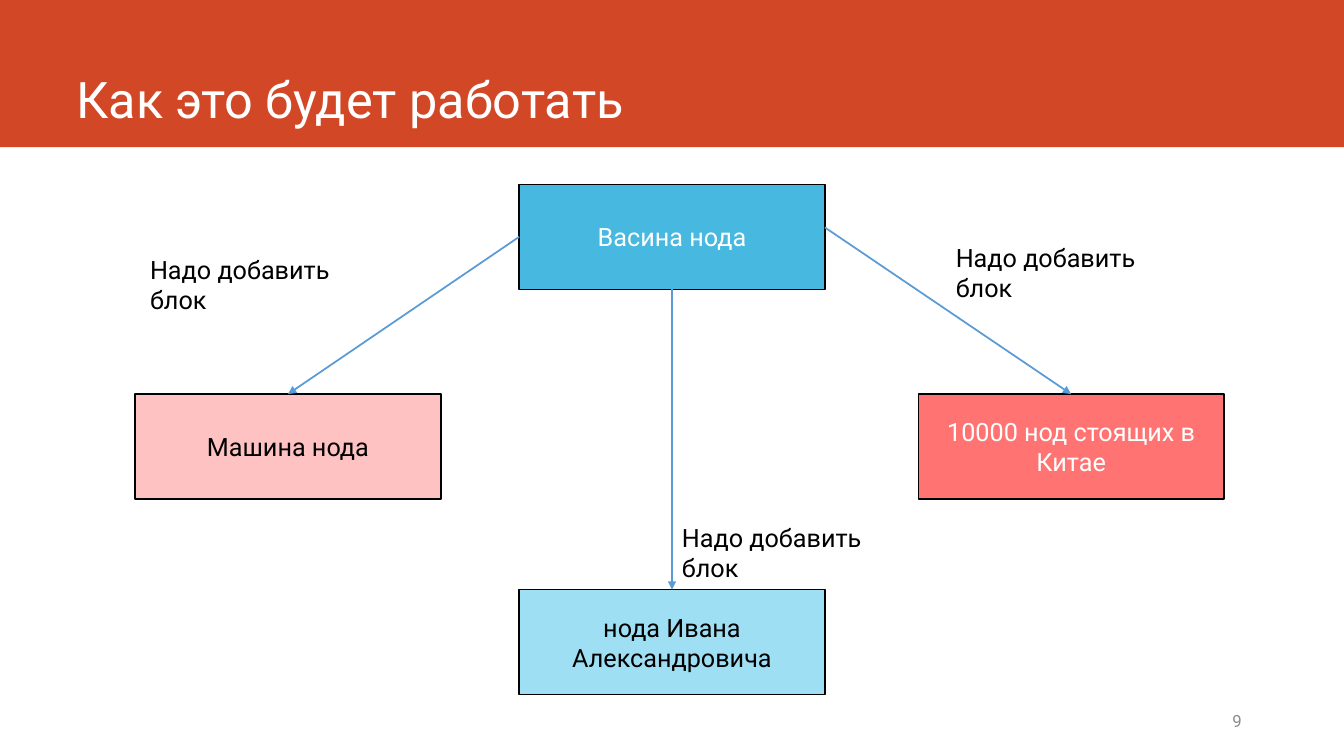
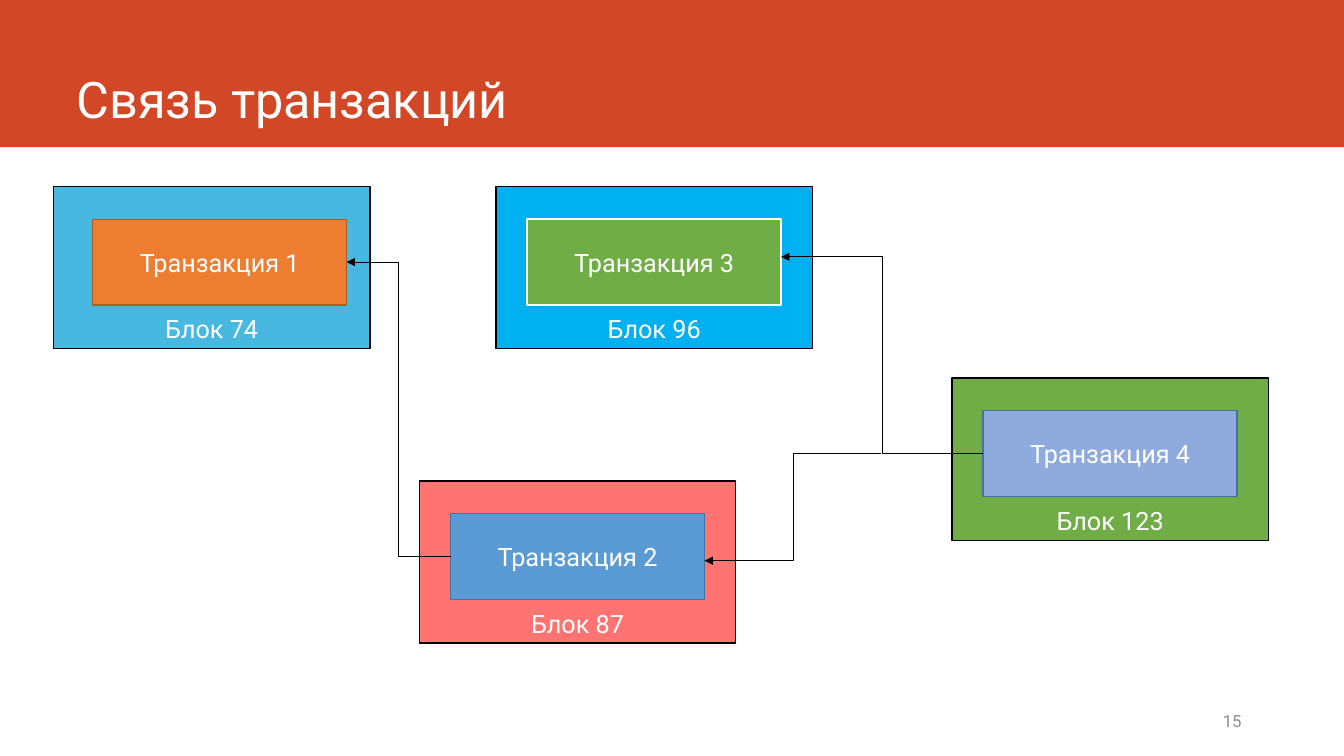
"""Build two slides on how nodes and transactions of a blockchain are linked."""
import dataclasses

import lxml.etree
import pptx
import pptx.dml.color
import pptx.enum.shapes
import pptx.enum.text
import pptx.oxml.ns
import pptx.util

ALIGN = pptx.enum.text.PP_ALIGN
ANCHOR = pptx.enum.text.MSO_ANCHOR
CONNECTOR = pptx.enum.shapes.MSO_CONNECTOR


@dataclasses.dataclass(frozen=True)
class Theme:
    font: str = "Roboto"
    title_size: int = 36
    body_size: int = 18
    number_size: int = 12
    band: str = "D24726"
    white: str = "FFFFFF"
    black: str = "000000"
    grey: str = "8C8C8C"
    sky: str = "47B8E0"
    pale_sky: str = "9FDFF4"
    azure: str = "00B0F0"
    coral: str = "FF7473"
    pink: str = "FFC2C2"
    orange: str = "ED7D31"
    dark_orange: str = "AF5C24"
    blue: str = "5B9BD5"
    dark_blue: str = "43739E"
    lavender: str = "8FAADC"
    green: str = "70AD47"


class Deck:
    columns, rows = 40, 30
    node_size = 9.1, 4.16
    block_size = 9.42, 6.44
    transaction_size = 7.56, 3.4

    def __init__(self, theme):
        self.theme = theme
        self.prs = pptx.Presentation()
        self.prs.slide_width = pptx.util.Inches(13.33)
        self.prs.slide_height = pptx.util.Inches(7.5)
        self.s = None

    def x(self, column):
        return round(self.prs.slide_width * column / self.columns)

    def y(self, row):
        return round(self.prs.slide_height * row / self.rows)

    def frame(self, left, top, width, height):
        return self.x(left), self.y(top), self.x(width), self.y(height)

    def color(self, value):
        return pptx.dml.color.RGBColor.from_string(value)

    def fill_text(self, sp, text, color, size, align=ALIGN.LEFT, anchor=ANCHOR.TOP):
        tf = sp.text_frame
        tf.word_wrap = True
        tf.vertical_anchor = anchor
        tf.text = text
        p = tf.paragraphs[0]
        p.alignment = align
        font = p.runs[0].font
        font.name = self.theme.font
        font.size = pptx.util.Pt(size)
        font.color.rgb = self.color(color)

    def text(self, box, text, color, size, align=ALIGN.LEFT, anchor=ANCHOR.TOP):
        sp = self.s.shapes.add_textbox(*self.frame(*box))
        self.fill_text(sp, text, color, size, align, anchor)

    def rect(self, box, fill, line=None, weight=1):
        kind = pptx.enum.shapes.MSO_SHAPE.RECTANGLE
        sp = self.s.shapes.add_shape(kind, *self.frame(*box))
        sp.shadow.inherit = False
        sp.fill.solid()
        sp.fill.fore_color.rgb = self.color(fill)
        if line:
            sp.line.color.rgb = self.color(line)
            sp.line.width = pptx.util.Pt(weight)
        else:
            sp.line.fill.background()
        return sp

    def slide(self, title, number):
        t = self.theme
        self.s = self.prs.slides.add_slide(self.prs.slide_layouts[6])
        self.rect((0, 0, self.columns, 5.84), t.band)
        self.text((1.98, 0, 35.28, 5.28), title, t.white, t.title_size, anchor=ANCHOR.BOTTOM)
        self.text((26.5, 27.8, 10.75, 1.6), str(number), t.grey, t.number_size,
                  ALIGN.RIGHT, ANCHOR.MIDDLE)

    def box(self, left, top, size, text, fill, color, line, weight=1, anchor=ANCHOR.MIDDLE):
        sp = self.rect((left, top, *size), fill, line, weight)
        self.fill_text(sp, text, color, self.theme.body_size, ALIGN.CENTER, anchor)
        return sp

    def node(self, left, top, text, fill, color):
        return self.box(left, top, self.node_size, text, fill, color, self.theme.black)

    def block(self, left, top, text, fill):
        t = self.theme
        self.box(left, top, self.block_size, text, fill, t.white, t.black, anchor=ANCHOR.BOTTOM)

    def transaction(self, left, top, text, fill, line, weight=1):
        return self.box(left, top, self.transaction_size, text, fill, self.theme.white,
                        line, weight)

    def label(self, left, top, text):
        self.text((left, top, 6.9, 1.6), text, self.theme.black, self.theme.body_size)

    def arrow(self, start, start_share, end, end_share, color, weight, kind=CONNECTOR.STRAIGHT):
        ends = []
        for sp, (across, down) in ((start, start_share), (end, end_share)):
            ends += [round(sp.left + sp.width * across), round(sp.top + sp.height * down)]
        sp = self.s.shapes.add_connector(kind, *ends)
        sp.line.color.rgb = self.color(color)
        sp.line.width = pptx.util.Pt(weight)
        qn = pptx.oxml.ns.qn
        properties = sp.element.spPr
        lxml.etree.SubElement(properties.find(qn("a:ln")), qn("a:tailEnd"), type="triangle")
        lxml.etree.SubElement(properties, qn("a:effectLst"))


def nodes_slide(deck):
    t = deck.theme
    deck.slide("Как это будет работать", 9)
    vasya = deck.node(15.45, 7.32, "Васина нода", t.sky, t.white)
    masha = deck.node(4.02, 15.64, "Машина нода", t.pink, t.black)
    ivan = deck.node(15.45, 23.4, "нода Ивана Александровича", t.pale_sky, t.black)
    china = deck.node(27.33, 15.64, "10000 нод стоящих в Китае", t.coral, t.white)
    for share, target in (((0, 0.5), masha), ((0.5, 1), ivan), ((1, 0.41), china)):
        deck.arrow(vasya, share, target, (0.5, 0), t.blue, 1.25)
    for left, top in ((4.17, 9.88), (28.15, 9.4), (20, 20.52)):
        deck.label(left, top, "Надо добавить блок")


def transactions_slide(deck):
    t = deck.theme
    deck.slide("Связь транзакций", 15)
    blocks = (
        (1.59, 7.4, 74, t.sky, 1.17, 1, t.orange, t.dark_orange, 1),
        (12.48, 19.08, 87, t.coral, 0.93, 2, t.blue, t.dark_blue, 1),
        (14.76, 7.4, 96, t.azure, 0.93, 3, t.green, t.white, 1.5),
        (28.33, 15, 123, t.green, 0.93, 4, t.lavender, t.dark_blue, 1),
    )
    inner = {}
    for left, top, block, fill, inset, number, inner_fill, line, weight in blocks:
        deck.block(left, top, f"Блок {block}", fill)
        inner[number] = deck.transaction(left + inset, top + 1.3, f"Транзакция {number}",
                                         inner_fill, line, weight)
    for start, across, end, down in ((2, 0, 1, 0.5), (4, 0, 3, 0.44), (4, -0.4, 2, 0.55)):
        deck.arrow(inner[start], (across, 0.5), inner[end], (1, down), t.black, 0.5,
                   CONNECTOR.ELBOW)


def main():
    deck = Deck(Theme())
    nodes_slide(deck)
    transactions_slide(deck)
    deck.prs.save("out.pptx")


if __name__ == "__main__":
    main()
